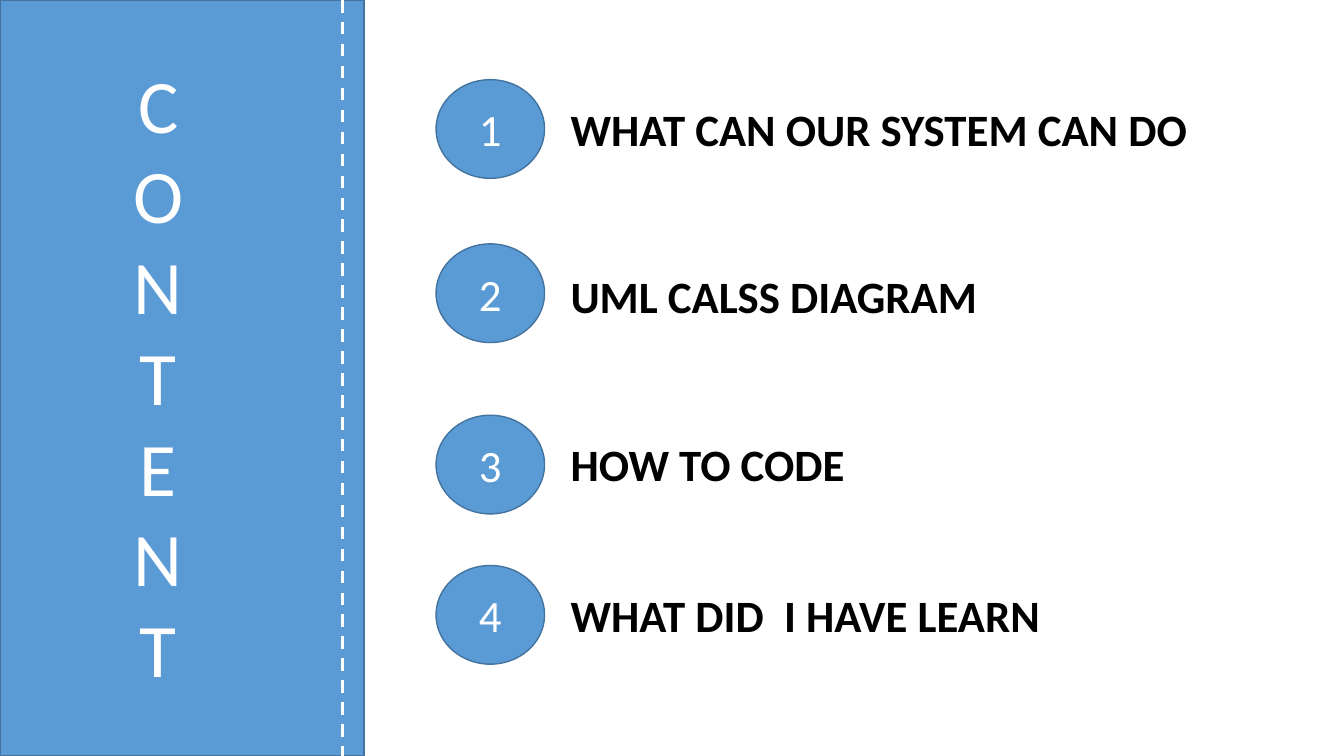
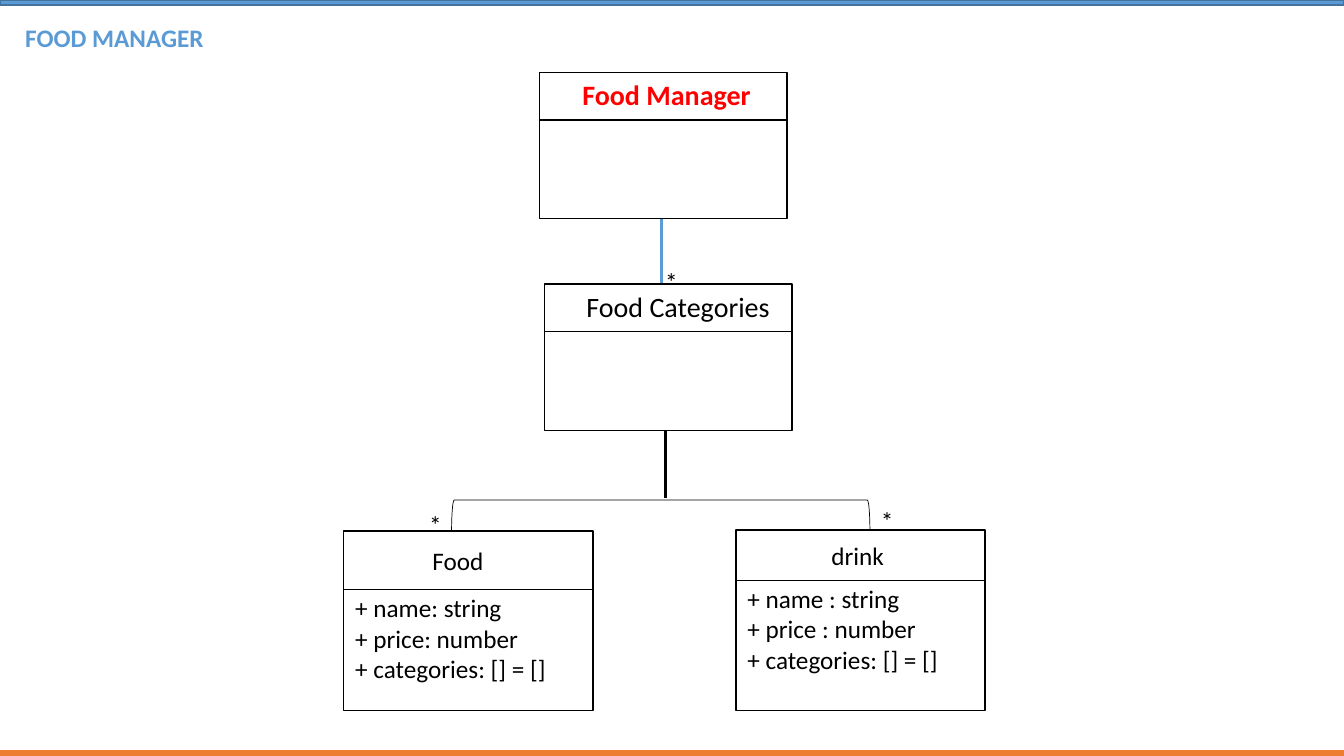
from lxml.etree import SubElement
from pptx import Presentation
from pptx.dml.color import RGBColor
from pptx.enum.dml import MSO_LINE
from pptx.enum.shapes import MSO_CONNECTOR, MSO_SHAPE
from pptx.enum.text import MSO_ANCHOR, MSO_AUTO_SIZE, PP_ALIGN
from pptx.oxml.ns import qn
from pptx.util import Pt

WIDTH, HEIGHT = 960, 540
BLUE, NAVY, ORANGE = "5B9BD5", "43739E", "ED7D31"
WHITE, BLACK, RED = "FFFFFF", "000000", "FF0000"
rgb = RGBColor.from_string


def style(part, line, weight=1, fill=None):
    """Set outline and fill, and drop the theme shadow."""
    part.line.color.rgb = rgb(line)
    part.line.width = Pt(weight)
    if fill:
        part.fill.solid()
        part.fill.fore_color.rgb = rgb(fill)
    SubElement(part.element.spPr, qn("a:effectLst"))


def write(part, box, lines, size, color=BLACK, bold=False,
          align=PP_ALIGN.LEFT, anchor=MSO_ANCHOR.TOP):
    """Place a part in front and fill it with plain paragraphs."""
    part.left, part.top, part.width, part.height = map(Pt, box)
    part.element.getparent().append(part.element)
    frame = part.text_frame
    frame.text = "\n".join(lines)
    frame.word_wrap = True
    frame.auto_size = MSO_AUTO_SIZE.NONE
    frame.vertical_anchor = anchor
    for paragraph in frame.paragraphs:
        paragraph.alignment = align
        paragraph.space_before = Pt(0)
        properties = paragraph._p.get_or_add_pPr()
        properties.set("marL", "0")
        properties.set("indent", "0")
        SubElement(properties, qn("a:buNone"))
        paragraph.font.name = "Calibri"
        paragraph.font.size = Pt(size)
        paragraph.font.bold = bold
        paragraph.font.color.rgb = rgb(color)


deck = Presentation()
deck.slide_width, deck.slide_height = Pt(WIDTH), Pt(HEIGHT)

# Slide 1: contents
contents = deck.slides.add_slide(deck.slide_layouts[1])
shapes = contents.shapes
band = shapes.add_shape(MSO_SHAPE.FLOWCHART_PROCESS, 0, 0, Pt(260), Pt(HEIGHT))
style(band, NAVY, fill=BLUE)
seam = shapes.add_connector(MSO_CONNECTOR.STRAIGHT, Pt(244.8), 0, Pt(244.8), Pt(HEIGHT))
style(seam, WHITE, 2.25)
seam.line.dash_style = MSO_LINE.DASH
write(shapes.title, (78, 37.5, 70, 465), "CONTENT", 54, WHITE, align=PP_ALIGN.CENTER)

# topic, top of its number, space above its text
topics = [
    ("WHAT CAN OUR SYSTEM CAN DO", 56.9, 0),
    ("UML CALSS DIAGRAM", 174.2, 80.5),
    ("HOW TO CODE", 296.6, 82),
    ("WHAT DID  I HAVE LEARN", 403.9, 69),
]
agenda = contents.placeholders[1]
write(agenda, (400.3, 69.1, 500, 400), [topic for topic, _, _ in topics], 32, bold=True)
for number, (_, top, gap) in enumerate(topics, 1):
    agenda.text_frame.paragraphs[number - 1].space_before = Pt(gap)
    badge_box = (311.5, top, 77.5, 70.5)
    badge = shapes.add_shape(MSO_SHAPE.OVAL, *map(Pt, badge_box))
    style(badge, NAVY, fill=BLUE)
    write(badge, badge_box, [str(number)], 32, WHITE,
          align=PP_ALIGN.CENTER, anchor=MSO_ANCHOR.MIDDLE)

# Slide 2: class diagram
diagram = deck.slides.add_slide(deck.slide_layouts[3])
shapes = diagram.shapes
for top, edge, fill in [(0, NAVY, BLUE), (HEIGHT - 3.6, ORANGE, ORANGE)]:
    bar = shapes.add_shape(MSO_SHAPE.FLOWCHART_PROCESS, 0, Pt(top), Pt(WIDTH), Pt(3.6))
    style(bar, edge, fill=fill)
write(shapes.title, (10.8, 12.2, 200, 28.8), ["FOOD MANAGER"], 18, BLUE, bold=True)

for x, start, end, color in [(472.3, 156.2, 203, BLUE), (475.2, 307.4, 355.7, BLACK)]:
    link = shapes.add_connector(MSO_CONNECTOR.STRAIGHT, Pt(x), Pt(start), Pt(x), Pt(end))
    style(link, color, 2.25)
fork = shapes.add_shape(MSO_SHAPE.LEFT_BRACKET, Pt(460.8), Pt(218.9), Pt(22.3), Pt(298.8))
fork.rotation = 90
fork.fill.background()
style(fork, BLACK, 0.5)

# name, box, header height, name offset, size, colour, bold, attributes
food_fields = ["+ name: string", "+ price: number", "+ categories: [] = []"]
drink_fields = ["+ name : string", "+ price : number", "+ categories: [] = []"]
classes = [
    ("Food Manager", (385.2, 51.8, 177, 104.4), 33.9, (23.7, 0), 20, RED, True, []),
    ("Food Categories", (388.8, 203, 177, 104.4), 33.9, (23, 0), 20, BLACK, False, []),
    ("Food", (245.5, 379.4, 178, 128.2), 41.8, (56.2, 6.5), 18, BLACK, False, food_fields),
    ("drink", (525.6, 378.7, 178, 128.9), 36, (61.2, 3.6), 18, BLACK, False, drink_fields),
]
field_lists = iter([diagram.placeholders[1], diagram.placeholders[2]])
for name, box, header, (dx, dy), size, color, bold, fields in classes:
    left, top, width, height = box
    divider_y = top + header
    outline = shapes.add_shape(MSO_SHAPE.RECTANGLE, *map(Pt, box))
    style(outline, BLACK, fill=WHITE)
    divider = shapes.add_connector(MSO_CONNECTOR.STRAIGHT, Pt(left), Pt(divider_y),
                                   Pt(left + width), Pt(divider_y))
    style(divider, BLACK)
    name_box = (left + dx, top + dy, width - dx, 32)
    write(shapes.add_textbox(*map(Pt, name_box)), name_box, [name], size, color, bold)
    if fields:
        write(next(field_lists), (left + 1, divider_y - 1.5, width - 2, 73), fields, 18)

for left, top in [(468, 186.5), (299.5, 360), (622.1, 357.1)]:
    star_box = (left, top, 30, 30)
    write(shapes.add_textbox(*map(Pt, star_box)), star_box, ["*"], 18)

deck.save("out.pptx")
